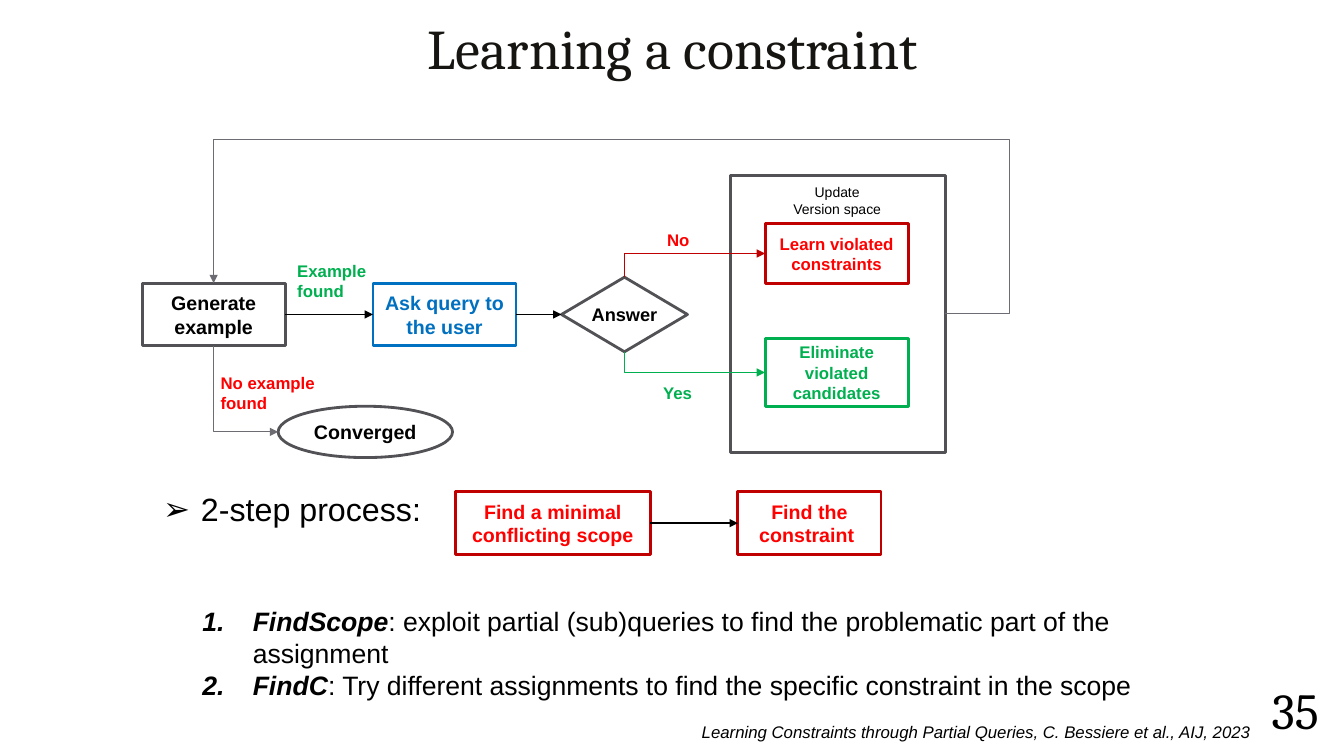
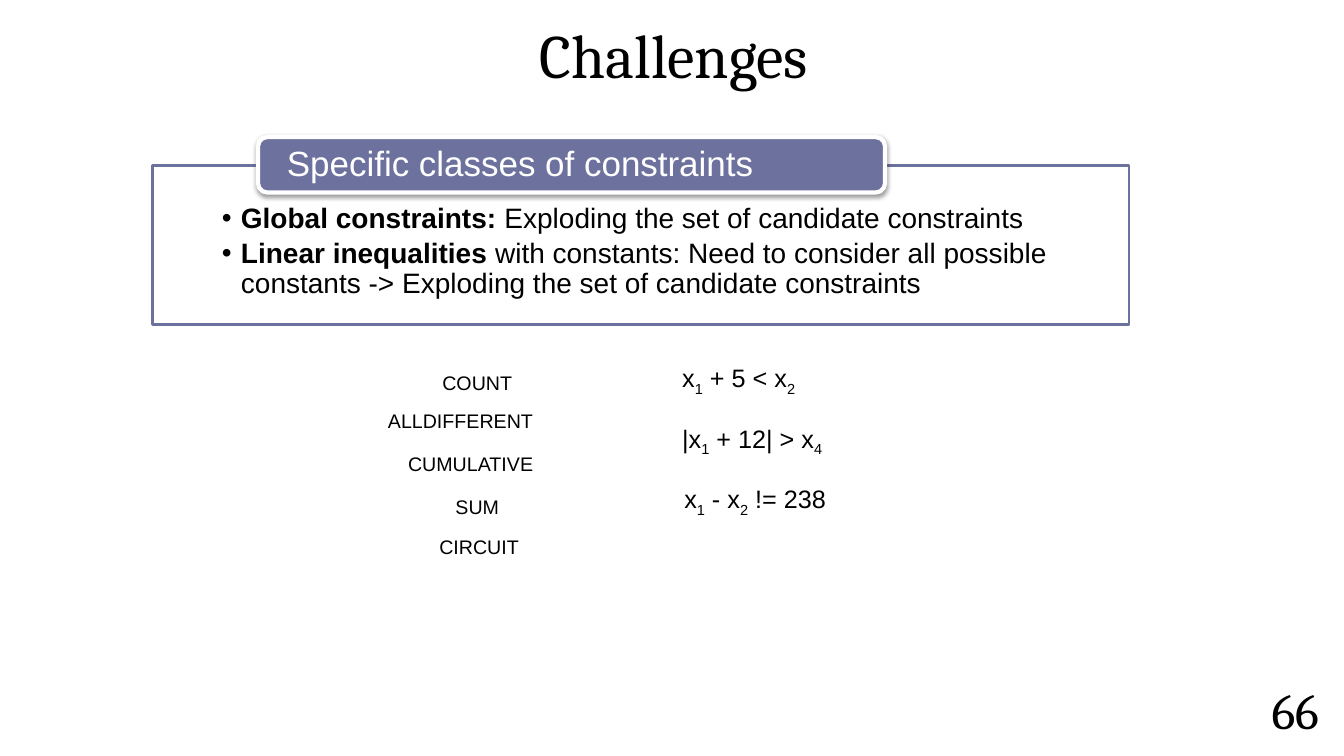
import pptx
import pptx.dml.color
import pptx.enum.shapes
import pptx.enum.text
import pptx.oxml
import pptx.oxml.ns
import pptx.util

COLUMNS, ROWS = 133.33, 75
CELL = 0.1  # inches per grid column and row
COLORS = {
    "black": "000000", "title": "171512", "white": "FFFFFF", "frame": "525256",
    "route": "6C6C72", "blue": "0070C0", "green": "00B050", "red": "FF0000",
    "dark_red": "C00000", "violet": "6D719E",
}
SHAPES = pptx.enum.shapes.MSO_SHAPE
ALIGN = pptx.enum.text.PP_ALIGN
ANCHOR = pptx.enum.text.MSO_ANCHOR
TOP, LEFT, BOTTOM, RIGHT = range(4)
STRONG = {"bold": True}
TERM = {"bold": True, "italic": True}
SUB = {"baseline": "-25000"}


def grid(cells):
    return pptx.util.Inches(cells * CELL)


def rgb(name):
    return pptx.dml.color.RGBColor.from_string(COLORS[name])


def add_xml(parent, tag, content="", **attributes):
    """Append one DrawingML element, with optional inner XML."""
    settings = " ".join(f'{key}="{value}"' for key, value in attributes.items())
    element = pptx.oxml.parse_xml(
        f'<a:{tag} {pptx.oxml.ns.nsdecls("a")} {settings}>{content}</a:{tag}>')
    parent.append(element)
    return element


def write(box, paragraphs, size, color="black", font="Arial", align=ALIGN.LEFT,
          anchor=ANCHOR.TOP, wrap=True, insets=(1, 0.5, 1, 0.5), spacing=None,
          after=None, bullet=None, indent=0, **style):
    """Fill a shape; a paragraph is a string or a list of (text, run style)."""
    frame = box.text_frame
    frame.word_wrap = wrap
    frame.vertical_anchor = anchor
    (frame.margin_left, frame.margin_top,
     frame.margin_right, frame.margin_bottom) = map(grid, insets)
    for index, content in enumerate(paragraphs):
        para = frame.add_paragraph() if index else frame.paragraphs[0]
        para.alignment = align
        if spacing:
            para.line_spacing = spacing
        if after:
            para.space_after = pptx.util.Pt(after)
        if bullet:
            set_bullet(para, bullet, indent)
        parts = [(content, {})] if isinstance(content, str) else content
        for text, extra in parts:
            span = para.add_run()
            span.text = text
            format_run(span, size, color, font, {**style, **extra})


def format_run(span, size, color, font, style):
    span.font.size = pptx.util.Pt(size)
    span.font.name = font
    span.font.color.rgb = rgb(color)
    span.font.bold = style.get("bold", False)
    span.font.italic = style.get("italic", False)
    if "baseline" in style:
        span.font._element.set("baseline", style["baseline"])


def set_bullet(para, bullet, indent):
    """Hang the paragraph from a bullet character, or from "1." numbering."""
    properties = para._p.get_or_add_pPr()
    properties.set("marL", str(grid(indent)))
    properties.set("indent", str(-grid(indent)))
    if bullet == "1.":
        add_xml(properties, "buFont", typeface="+mj-lt")
        add_xml(properties, "buAutoNum", type="arabicPeriod")
    else:
        add_xml(properties, "buFont", typeface="Arial")
        add_xml(properties, "buChar", char=bullet)


def add_text(page, area, paragraphs, size, **options):
    box = page.shapes.add_textbox(*map(grid, area))
    write(box, paragraphs, size, **options)
    return box


def add_label(page, area, paragraphs, size=12, **options):
    return add_text(page, area, paragraphs, size, wrap=False, **options)


def add_box(page, area, line, kind=SHAPES.RECTANGLE, fill=None, weight=2):
    box = page.shapes.add_shape(kind, *map(grid, area))
    box.shadow.inherit = False
    if fill:
        box.fill.solid()
        box.fill.fore_color.rgb = rgb(fill)
    else:
        box.fill.background()
    box.line.color.rgb = rgb(line)
    box.line.width = pptx.util.Pt(weight)
    return box


def add_node(page, area, text, line, color, size=14, kind=SHAPES.RECTANGLE, wrap=True):
    box = add_box(page, area, line, kind)
    write(box, [text], size, color=color, align=ALIGN.CENTER,
          anchor=ANCHOR.MIDDLE, wrap=wrap, bold=True)
    return box


def side(box, site):
    """Middle of a shape's side, in EMU."""
    return {
        TOP: (box.left + box.width // 2, box.top),
        LEFT: (box.left, box.top + box.height // 2),
        BOTTOM: (box.left + box.width // 2, box.top + box.height),
        RIGHT: (box.left + box.width, box.top + box.height // 2),
    }[site]


def add_arrow(page, start, end, color, weight, kind="STRAIGHT"):
    connector = page.shapes.add_connector(
        getattr(pptx.enum.shapes.MSO_CONNECTOR, kind), *start, *end)
    connector.line.color.rgb = rgb(color)
    connector.line.width = pptx.util.Pt(weight)
    add_xml(connector.line._get_or_add_ln(), "tailEnd", type="triangle")
    add_xml(connector._element.spPr, "effectLst")
    return connector


def join(page, source, target, weight=0.75):
    connector = add_arrow(page, side(source, RIGHT), side(target, LEFT), "black", weight)
    connector.begin_connect(source, RIGHT)
    connector.end_connect(target, LEFT)


def add_corner(page, start, end, color, weight):
    """Arrow that leaves vertically and then turns right."""
    connector = add_arrow(page, start, end, color, weight, "ELBOW")
    connector._element.spPr.prstGeom.set("prst", "bentConnector2")
    across, down = end[0] - start[0], end[1] - start[1]
    connector.width, connector.height = abs(down), across
    connector.left = (start[0] + end[0] - abs(down)) // 2
    connector.top = (start[1] + end[1] - across) // 2
    transform = connector._element.spPr.xfrm
    transform.set("rot", str((90 if down > 0 else 270) * 60000))
    transform.set("flipV", "1" if down > 0 else "0")


def add_return(page, start, end, far_column, high_row):
    """Arrow that runs out to a column, along a row and down to its end."""
    connector = add_arrow(page, start, end, "route", 0.75, "ELBOW")
    geometry = connector._element.spPr.prstGeom
    geometry.set("prst", "bentConnector4")
    for old in list(geometry):
        geometry.remove(old)
    shares = [(grid(via) - first) / (last - first)
              for via, first, last in zip((far_column, high_row), start, end)]
    guides = "".join(f'<a:gd name="adj{number}" fmla="val {round(share * 100000)}"/>'
                     for number, share in enumerate(shares, 1))
    add_xml(geometry, "avLst", guides)


def add_page(deck, title, number, area, size, color="black"):
    page = deck.slides.add_slide(deck.slide_layouts[6])
    common = {"font": "Cambria", "align": ALIGN.CENTER, "spacing": 0.9}
    add_text(page, area, [title], size, color=color, anchor=ANCHOR.BOTTOM, **common)
    add_text(page, (COLUMNS - 9.83, 67.5, 10, 6.5), [number], 36,
             anchor=ANCHOR.MIDDLE, insets=(0.5,) * 4, **common)
    return page


def add_learning_loop(page):
    generate = add_node(page, (14.1, 28.1, 14.2, 6.2), "Generate example", "frame", "black")
    ask = add_node(page, (37, 28.1, 14.2, 6.2), "Ask query to the user", "blue", "blue")
    answer = add_node(page, (55.7, 27.5, 12.5, 7.4), "Answer", "frame", "black", 13,
                      SHAPES.DIAMOND, wrap=False)
    learn = add_node(page, (75.9, 22.2, 14.2, 5.9), "Learn violated constraints",
                     "dark_red", "red", 12)
    eliminate = add_node(page, (75.9, 33.6, 14.2, 6.7), "Eliminate violated candidates",
                         "green", "green", 12)
    converged = add_node(page, (27.6, 40.3, 17.3, 5.1), "Converged", "frame", "black",
                         kind=SHAPES.OVAL)
    join(page, generate, ask)
    join(page, ask, answer)
    update = add_box(page, (72.5, 17.4, 21.3, 27.5), "frame")
    add_label(page, (77.6, 17.7, 10.9, 4.4), ["Update", "Version space"], 10,
              align=ALIGN.CENTER)
    add_corner(page, side(answer, TOP), side(learn, LEFT), "dark_red", 1.25)
    add_corner(page, side(answer, BOTTOM), side(eliminate, LEFT), "green", 1.25)
    add_corner(page, side(generate, BOTTOM), side(converged, LEFT), "route", 0.75)
    add_return(page, side(update, RIGHT), side(generate, TOP), 100.2, 13.8)
    for area, lines, color in (
            ((65.2, 22.3, 4.3, 3), ["No"], "red"),
            ((64.8, 37.5, 5, 3), ["Yes"], "green"),
            ((20.9, 36.5, 11.5, 5), ["No example", "found"], "red"),
            ((28.5, 25.4, 8.9, 5), ["Example", "found"], "green")):
        add_label(page, area, lines, color=color, bold=True)


def add_two_steps(page):
    scope = add_node(page, (45.2, 48.8, 19.3, 6.2), "Find a minimal conflicting scope",
                     "dark_red", "red")
    constraint = add_node(page, (73.2, 48.8, 14.2, 6.2), "Find the constraint ",
                          "dark_red", "red")
    join(page, scope, constraint, 1.25)
    add_text(page, (15.2, 48.1, 27.8, 4.9), ["2-step process:"], 23, bullet="➢", indent=3.75)
    add_text(page, (19.1, 59.5, 95.3, 10.6), [
        [("FindScope", TERM), (": exploit partial (sub)queries to find the problematic "
                               "part of the assignment", {})],
        [("FindC", TERM), (": Try different assignments to find the specific "
                           "constraint in the scope", {})],
    ], 19, bullet="1.", indent=5)
    add_text(page, (30.7, 71.1, 94.4, 3),
             ["Learning Constraints through Partial Queries, C. Bessiere et al., AIJ, 2023"],
             12, align=ALIGN.RIGHT, italic=True)


def add_class_panel(page):
    panel = add_box(page, (15.1, 16.4, 96.9, 15.8), "violet", fill="white")
    write(panel, [
        [("Global constraints: ", STRONG),
         ("Exploding the set of candidate constraints", {})],
        [("Linear inequalities", STRONG),
         (" with constants: Need to consider all possible constants -> "
          "Exploding the set of candidate constraints", {})],
    ], 20, insets=(6.9, 3.9, 6.9, 1.4), spacing=0.9, after=3, bullet="•", indent=1.9)
    header = add_box(page, (25.6, 13.6, 62.2, 5.5), "white", SHAPES.ROUNDED_RECTANGLE,
                     "violet", 3)
    write(header, ["Specific classes of constraints"], 25, color="white",
          anchor=ANCHOR.MIDDLE, insets=(2.6, 0, 2.6, 0), spacing=0.9)
    effects = header._element.spPr.find(pptx.oxml.ns.qn("a:effectLst"))
    add_xml(effects, "outerShdw",
            '<a:srgbClr val="000000"><a:alpha val="38000"/></a:srgbClr>',
            blurRad=pptx.util.Pt(3.1), dist=pptx.util.Pt(1.6), dir=90 * 60000, rotWithShape=0)


def add_examples(page):
    for name, left, top, width in (
            ("COUNT", 42.9, 36.3, 9), ("ALLDIFFERENT", 37.5, 40.1, 16.5),
            ("CUMULATIVE", 39.5, 44.3, 14.7), ("SUM", 44.2, 48.6, 6.4),
            ("CIRCUIT", 42.6, 52.6, 10)):
        add_label(page, (left, top, width, 3.4), [name], 14)
    formulas = (
        (66.7, 14.3, [("x", {}), ("1", SUB), (" + 5 < x", {}), ("2", SUB)]),
        (66.7, 17, [("|x", {}), ("1", SUB), (" + 12| > x", {}), ("4", SUB)]),
        (66.9, 16.4, [("x", {}), ("1", SUB), (" - x", {}), ("2", SUB), (" != 238", {})]),
    )
    for row, (left, width, parts) in enumerate(formulas):
        add_label(page, (left, 35.5 + 6 * row, width, 4), [parts], 18)


def main():
    deck = pptx.Presentation()
    deck.slide_width, deck.slide_height = grid(COLUMNS), grid(ROWS)
    learning = add_page(deck, "Learning a constraint", "35", (0, 0.1, 133.5, 8.5), 40, "title")
    add_learning_loop(learning)
    add_two_steps(learning)
    challenges = add_page(deck, "Challenges", "66", (26.6, 0.1, 80.5, 9.5), 44)
    add_class_panel(challenges)
    add_examples(challenges)
    deck.save("out.pptx")


if __name__ == "__main__":
    main()
